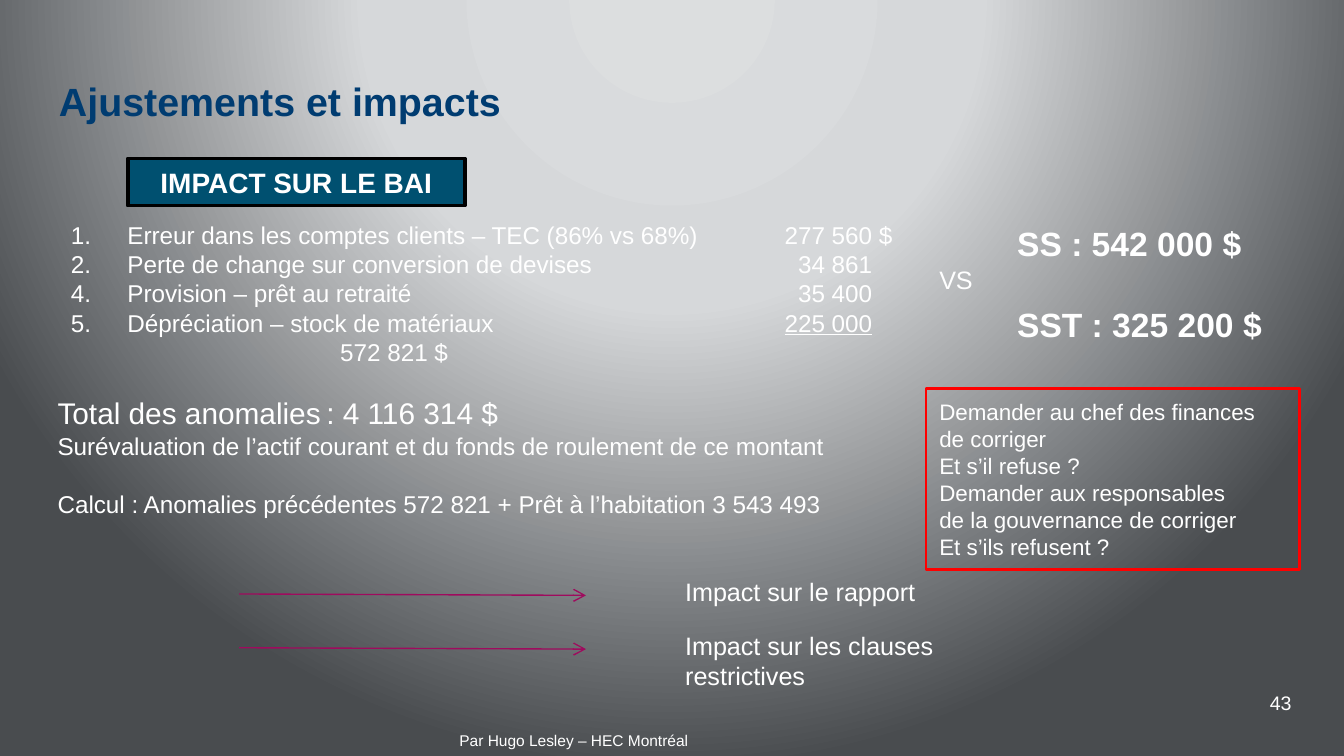
from pptx import Presentation
from pptx import util as u
from pptx.dml.color import RGBColor
from pptx.enum import shapes, text
from pptx.oxml import parse_xml
from pptx.oxml.ns import nsdecls, qn
from lxml import etree

WHITE = RGBColor(0xFF, 0xFF, 0xFF)
BLACK = RGBColor(0x00, 0x00, 0x00)
NAVY = RGBColor(0x00, 0x3C, 0x71)
TEAL = RGBColor(0x00, 0x50, 0x70)
RED = RGBColor(0xFF, 0x00, 0x00)
MAGENTA = RGBColor(0x9F, 0x0B, 0x5E)
BACKDROP = [
    (0, RGBColor(0xDC, 0xDE, 0xDF)),
    (40, RGBColor(0xD6, 0xD8, 0xDA)),
    (100, RGBColor(0x49, 0x4C, 0x4F)),
]
FONT = "Arial"
TAB = u.Inches(1)


def paint_background(slide):
    """Fill the slide with a radial gradient centred on its top edge."""
    slide.background.fill.solid()
    stops = "".join(
        f'<a:gs pos="{at * 1000}"><a:srgbClr val="{color}"/></a:gs>' for at, color in BACKDROP
    )
    gradient = parse_xml(
        f'<a:gradFill {nsdecls("a")} rotWithShape="1"><a:gsLst>{stops}</a:gsLst>'
        '<a:path path="circle"><a:fillToRect l="50000" t="-80000" r="50000" b="180000"/>'
        "</a:path></a:gradFill>"
    )
    solid = slide.element.find(".//" + qn("a:solidFill"))
    solid.getparent().replace(solid, gradient)


def add_text(slide, box, wrap=True):
    """Add an empty text box and return its frame."""
    frame = slide.shapes.add_textbox(*map(u.Inches, box)).text_frame
    frame.word_wrap = wrap
    return frame


def next_paragraph(frame):
    """Return the unused first paragraph or a new one."""
    first = frame.paragraphs[0]
    paragraph = frame.add_paragraph() if first.runs else first
    paragraph._p.get_or_add_pPr().set("defTabSz", str(TAB))
    return paragraph


def set_indent(paragraph, margin, first_line):
    """Set the left margin and first-line indent and return the properties."""
    properties = paragraph._p.get_or_add_pPr()
    properties.set("marL", str(u.Inches(margin)))
    properties.set("indent", str(u.Inches(first_line)))
    return properties


def add_run(paragraph, words, size, bold=False, underline=False, color=WHITE):
    """Append one styled run."""
    run = paragraph.add_run()
    run.text = words
    run.font.name = FONT
    run.font.size = u.Pt(size)
    run.font.bold = bold
    run.font.underline = underline
    run.font.color.rgb = color


def write(frame, words, size, before=0, **style):
    """Write a one-run paragraph with optional space before it."""
    paragraph = next_paragraph(frame)
    if before:
        paragraph.space_before = u.Pt(before)
    add_run(paragraph, words, size, **style)
    return paragraph


def add_panel(slide, box, line_color, line_width, fill_color=None):
    """Add an outlined rectangle, filled when a colour is given."""
    panel = slide.shapes.add_shape(shapes.MSO_SHAPE.RECTANGLE, *map(u.Inches, box))
    panel.shadow.inherit = False
    panel.line.color.rgb = line_color
    panel.line.width = u.Pt(line_width)
    if fill_color is None:
        panel.fill.background()
    else:
        panel.fill.solid()
        panel.fill.fore_color.rgb = fill_color
    return panel.text_frame


def add_heading(slide, box):
    """Place the title and the label below it."""
    left, top, width, height = box
    title = add_text(slide, box)
    title.vertical_anchor = text.MSO_ANCHOR.MIDDLE
    write(title, "Ajustements et impacts", 21.1, bold=True, color=NAVY)
    label = add_panel(slide, (left + 0.61, top + 0.64, 2.51, 0.35), BLACK, 2, TEAL)
    impact = write(label, "IMPACT SUR LE BAI", 15, bold=True)
    impact.alignment = text.PP_ALIGN.CENTER


def add_adjustments(slide, box):
    """List the numbered adjustments with their amounts and total."""
    adjustments = [
        (1, "Erreur dans les comptes clients – TEC (86% vs 68%) \t277 560 $", ""),
        (1, "Perte de change sur conversion de devises \t\t  34 861", ""),
        (4, "Provision – prêt au retraité \t\t\t  35 400", ""),
        (4, "Dépréciation – stock de matériaux \t\t\t", "225 000"),
    ]
    frame = add_text(slide, box, wrap=False)
    for start, wording, underlined in adjustments:
        paragraph = next_paragraph(frame)
        properties = set_indent(paragraph, 1.11, -0.42)
        number = etree.SubElement(properties, qn("a:buAutoNum"), type="arabicPeriod")
        if start > 1:
            number.set("startAt", str(start))
        add_run(paragraph, wording, 13)
        if underlined:
            add_run(paragraph, underlined, 13, underline=True)
    total = write(frame, "\t\t572 821 $", 13)
    total.level = 8
    set_indent(total, 4.68, 0)


def add_thresholds(slide, box):
    """Place the comparison sign and the two materiality thresholds."""
    left, top, width, height = box
    write(add_text(slide, (left, top + 0.31, 0.82, 0.33)), "VS", 13.5)
    frame = add_text(slide, (left + 0.58, top, width - 0.58, height))
    write(frame, "SS : 542 000 $", 18, bold=True)
    write(frame, "SST : 325 200 $", 18, before=21.7, bold=True)


def add_anomalies(slide, box):
    """Write the total of the anomalies and how it is computed."""
    frame = add_text(slide, box, wrap=False)
    write(frame, "Total des anomalies\t: 4 116 314 $", 16)
    write(frame, "Surévaluation de l’actif courant et du fonds de roulement de ce montant", 13)
    write(
        frame,
        "Calcul : Anomalies précédentes 572 821 + Prêt à l’habitation 3 543 493",
        13,
        before=15.7,
    )


def add_follow_up(slide, box):
    """Frame the steps to take with management and governance."""
    frame = add_panel(slide, box, RED, 1.5)
    frame.word_wrap = False
    steps = [
        "Demander au chef des finances",
        "de corriger",
        "Et s’il refuse ?",
        "Demander aux responsables",
        "de la gouvernance de corriger",
        "Et s’ils refusent ?",
    ]
    for step in steps:
        write(frame, step, 12).alignment = text.PP_ALIGN.LEFT


def add_impacts(slide, box):
    """Point an arrow at each consequence."""
    left, top, width, height = box
    impacts = [
        ("Impact sur le rapport", 2.52, 0.33),
        ("Impact sur les clauses restrictives", 2.81, 0.56),
    ]
    for row, (impact, text_width, text_height) in enumerate(impacts):
        y = top + 0.4 * row
        ends = (left, y + 0.18, left + 2.58, y + 0.19)
        arrow = slide.shapes.add_connector(shapes.MSO_CONNECTOR.STRAIGHT, *map(u.Inches, ends))
        arrow.line.color.rgb = MAGENTA
        arrow.line.width = u.Pt(0.75)
        etree.SubElement(arrow.line._get_or_add_ln(), qn("a:tailEnd"), type="arrow")
        etree.SubElement(arrow._element.spPr, qn("a:effectLst"))
        write(add_text(slide, (left + 3.22, y, text_width, text_height)), impact, 13.5)


def add_footer(slide, box):
    """Place the author line and the page number."""
    left, top, width, height = box
    write(add_text(slide, (left + width - 0.45, top, 0.45, 0.3)), "43", 10.5)
    author = add_text(slide, (left, top + height - 0.3, 1.91, 0.3))
    write(author, "Par Hugo Lesley – HEC Montréal", 8.3)


def main():
    """Build the slide and save it."""
    deck = Presentation()
    deck.slide_width = u.Inches(10)
    deck.slide_height = deck.slide_width * 9 // 16
    slide = deck.slides.add_slide(deck.slide_layouts[6])
    paint_background(slide)
    add_thresholds(slide, (6.89, 1.61, 2.88, 1.01))
    add_impacts(slide, (1.78, 4.24, 6.03, 0.96))
    add_heading(slide, (0.34, 0.54, 8.22, 0.42))
    add_footer(slide, (3.32, 5.09, 6.48, 0.6))
    add_adjustments(slide, (-0.26, 1.59, 7.57, 1.3))
    add_anomalies(slide, (0.33, 2.89, 6.38, 1.44))
    add_follow_up(slide, (6.89, 2.89, 2.78, 1.35))
    deck.save("out.pptx")


if __name__ == "__main__":
    main()
